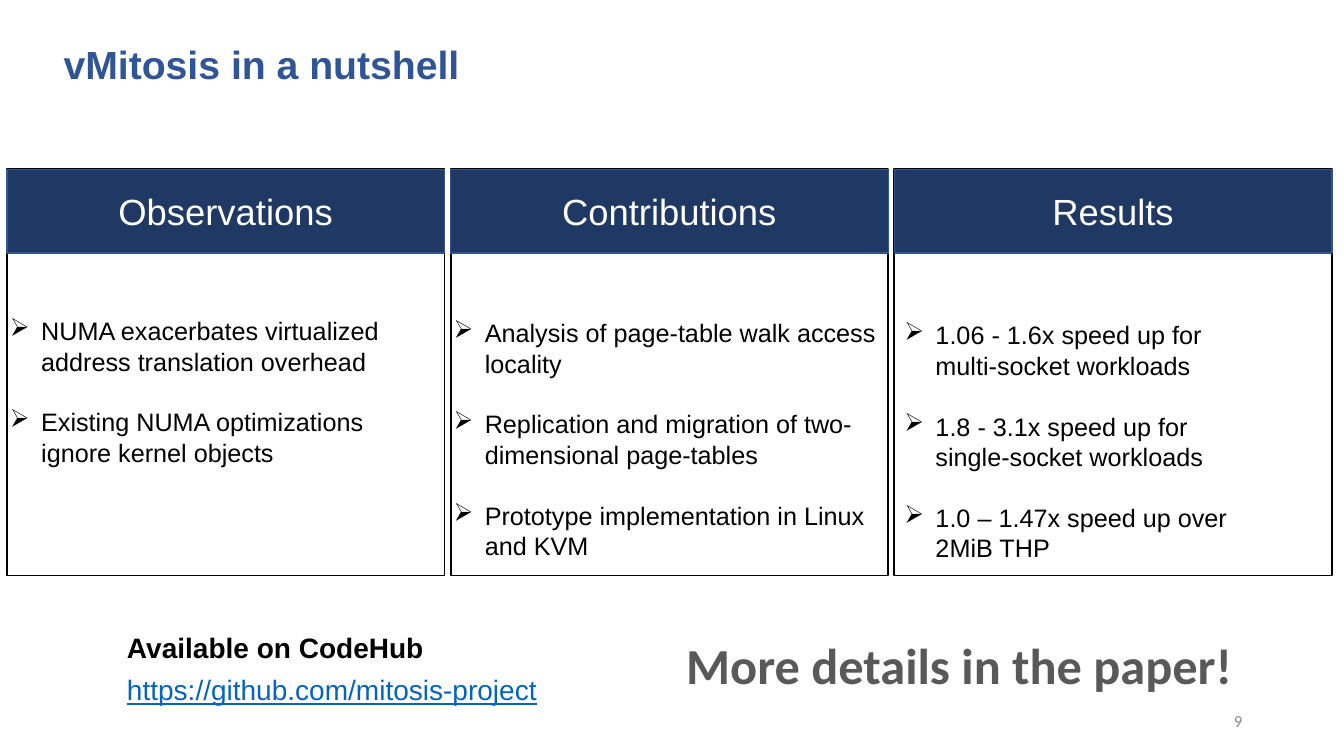
from lxml import etree
from pptx import Presentation
from pptx.dml.color import RGBColor
from pptx.enum.shapes import MSO_SHAPE
from pptx.enum.text import MSO_ANCHOR, PP_ALIGN
from pptx.oxml.ns import qn
from pptx.util import Inches, Pt

RECTANGLE = MSO_SHAPE.RECTANGLE
TOP, MIDDLE, BOTTOM = MSO_ANCHOR.TOP, MSO_ANCHOR.MIDDLE, MSO_ANCHOR.BOTTOM
LEFT, CENTER, RIGHT = PP_ALIGN.LEFT, PP_ALIGN.CENTER, PP_ALIGN.RIGHT

TITLE_ONLY = 5
COLUMN_LEFT, COLUMN_PITCH, COLUMN_WIDTH = 0.07, 4.4, 4.34
COLUMN_TOP, COLUMN_HEIGHT, HEADER_HEIGHT = 1.68, 4.03, 0.83
LIST_WIDTH = 4.65
LINE_HEIGHT = 21.7
HANGING = 0.31

# Heading, left and top of the list, height of the list, bullet items
COLUMNS = [
    ("Observations", 0, 3.08, 1.62, [
        "NUMA exacerbates virtualized address translation overhead",
        "Existing NUMA optimizations\vignore kernel objects",
    ]),
    ("Contributions", 4.4, 3.1, 2.52, [
        "Analysis of page-table walk access locality",
        "Replication and migration of two-\vdimensional page-tables",
        "Prototype implementation in Linux and KVM",
    ]),
    ("Results", 8.87, 3.12, 2.52, [
        "1.06 - 1.6x speed up for\vmulti-socket workloads",
        "1.8 - 3.1x speed up for\vsingle-socket workloads",
        "1.0 – 1.47x speed up over\v2MiB THP",
    ]),
]


def color(hex_value):
    return RGBColor.from_string(hex_value)


def place(shape, left, top, width, height):
    shape.left, shape.top = Inches(left), Inches(top)
    shape.width, shape.height = Inches(width), Inches(height)


def prepare_frame(frame, anchor=TOP, inset=True):
    frame.word_wrap = True
    frame.vertical_anchor = anchor
    if not inset:
        frame.margin_left = frame.margin_right = 0
        frame.margin_top = frame.margin_bottom = 0


def style(paragraph, size, hex_value, name="Arial", bold=False, align=LEFT):
    paragraph.alignment = align
    font = paragraph.font
    font.size, font.name, font.bold = Pt(size), name, bold
    font.color.rgb = color(hex_value)


def add_text_box(slide, left, top, width, height, anchor=TOP, inset=True):
    box = slide.shapes.add_textbox(
        Inches(left), Inches(top), Inches(width), Inches(height))
    prepare_frame(box.text_frame, anchor, inset)
    return box.text_frame


def add_rectangle(slide, left, top, width, height, line, line_width, fill=None):
    shape = slide.shapes.add_shape(
        RECTANGLE, Inches(left), Inches(top), Inches(width), Inches(height))
    shape.shadow.inherit = False
    shape.line.color.rgb = color(line)
    shape.line.width = Pt(line_width)
    if fill:
        shape.fill.solid()
        shape.fill.fore_color.rgb = color(fill)
    else:
        shape.fill.background()
    return shape


def add_bullet(paragraph):
    properties = paragraph._p.get_or_add_pPr()
    properties.set("marL", str(Inches(HANGING)))
    properties.set("indent", str(-Inches(HANGING)))
    etree.SubElement(properties, qn("a:buChar")).set("char", "➢")


def add_bullet_list(slide, left, top, height, items):
    frame = add_text_box(slide, left, top, LIST_WIDTH, height)
    for index, item in enumerate(items):
        paragraph = frame.add_paragraph() if index else frame.paragraphs[0]
        paragraph.text = item
        add_bullet(paragraph)
        paragraph.line_spacing = Pt(LINE_HEIGHT)
        if index:
            paragraph.space_before = Pt(LINE_HEIGHT)
        style(paragraph, 18, "000000")


def add_column(slide, index, heading, list_left, list_top, list_height, items):
    left = COLUMN_LEFT + index * COLUMN_PITCH
    add_rectangle(slide, left, COLUMN_TOP, COLUMN_WIDTH, COLUMN_HEIGHT,
                  "000000", 1.25)
    header = add_rectangle(slide, left, COLUMN_TOP, COLUMN_WIDTH,
                           HEADER_HEIGHT, "325491", 1, "203864")
    prepare_frame(header.text_frame, MIDDLE)
    paragraph = header.text_frame.paragraphs[0]
    paragraph.text = heading
    style(paragraph, 26, "FFFFFF", align=CENTER)
    add_bullet_list(slide, list_left, list_top, list_height, items)


def add_title(slide, text):
    title = slide.shapes.title
    place(title, 0.63, 0.45, 12.03, 0.42)
    prepare_frame(title.text_frame, BOTTOM, inset=False)
    paragraph = title.text_frame.paragraphs[0]
    paragraph.text = text
    paragraph.line_spacing = 0.9
    style(paragraph, 28, "2F5597", bold=True)


def add_availability(slide):
    frame = add_text_box(slide, 1.26, 6.26, 4.3, 0.76, inset=False)
    heading, address = frame.paragraphs[0], frame.add_paragraph()
    heading.text = "Available on CodeHub"
    address.text = "https://github.com/mitosis-project"
    heading.space_after = address.space_after = Pt(6)
    style(heading, 20, "000000", bold=True)
    style(address, 20, "0563C1")
    address.font.underline = True


def add_label(slide, text, bounds, size, hex_value, bold, align, anchor):
    paragraph = add_text_box(slide, *bounds, anchor=anchor).paragraphs[0]
    paragraph.text = text
    style(paragraph, size, hex_value, "Calibri", bold, align)


def main():
    presentation = Presentation()
    presentation.slide_width = Inches(13.33)
    presentation.slide_height = Inches(7.5)
    slide = presentation.slides.add_slide(
        presentation.slide_layouts[TITLE_ONLY])

    add_title(slide, "vMitosis in a nutshell")
    for index, column in enumerate(COLUMNS):
        add_column(slide, index, *column)
    add_availability(slide)
    add_label(slide, "9", (9.42, 6.95, 3, 0.4),
              12, "8C8C8C", False, RIGHT, MIDDLE)
    add_label(slide, "More details in the paper!", (5.7, 6.24, 7.63, 0.71),
              36, "595959", True, CENTER, TOP)
    presentation.save("out.pptx")


if __name__ == "__main__":
    main()
